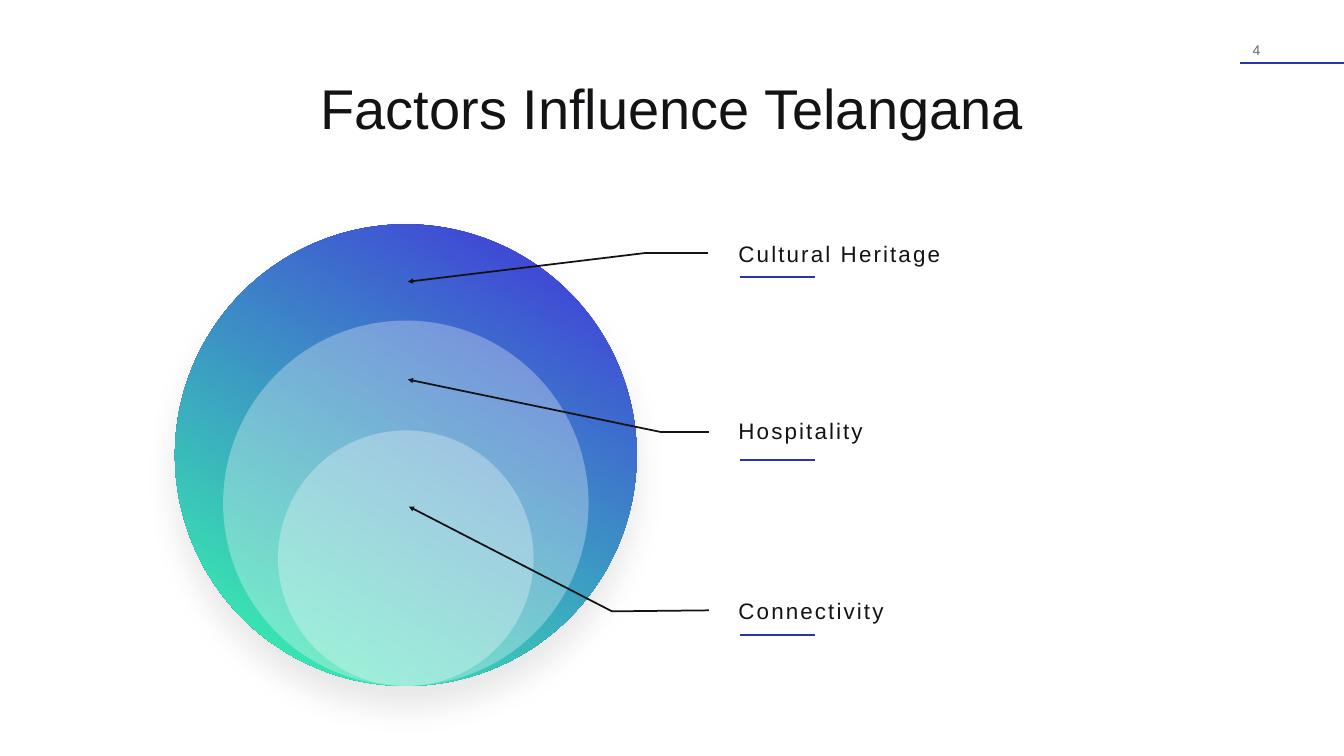
"""Build the slide of nested circles showing the factors that influence Telangana."""
from lxml import etree
from pptx import Presentation
from pptx.dml.color import RGBColor
from pptx.enum.shapes import MSO_CONNECTOR, MSO_SHAPE
from pptx.enum.text import MSO_ANCHOR, MSO_AUTO_SIZE, PP_ALIGN
from pptx.oxml.ns import qn
from pptx.util import Inches, Pt

STRAIGHT, OVAL = MSO_CONNECTOR.STRAIGHT, MSO_SHAPE.OVAL
TOP, MIDDLE, BOTTOM = MSO_ANCHOR.TOP, MSO_ANCHOR.MIDDLE, MSO_ANCHOR.BOTTOM
LEFT, CENTER, RIGHT = PP_ALIGN.LEFT, PP_ALIGN.CENTER, PP_ALIGN.RIGHT
FIXED = MSO_AUTO_SIZE.NONE

TITLE = "Factors Influence Telangana"
PAGE_NUMBER = "4"
FACTORS = [
    {"label": "Cultural Heritage", "diameter": 9.16, "label_top": 4.7, "rule_y": 5.5,
     "leader": [(14.04, 5.02), (12.8, 5.02), (8.09, 5.59)]},
    {"label": "Hospitality", "diameter": 7.25, "label_top": 8.21, "rule_y": 9.12,
     "leader": [(14.06, 8.57), (13.1, 8.57), (8.09, 7.53)]},
    {"label": "Connectivity", "diameter": 5.07, "label_top": 11.8, "rule_y": 12.6,
     "leader": [(14.06, 12.11), (12.14, 12.13), (8.11, 10.05)]},
]
COLORS = {"ink": "131316", "rule": "2C34AC", "page": "68686E", "veil": "FFFFFF",
          "indigo": "403BD9", "mint": "38F2AE"}
FONT = "Arial"
WIDTH, HEIGHT = 26.66, 15
CIRCLES_CENTER, CIRCLES_BOTTOM = 8.05, 13.61
LABEL_LEFT, LABEL_WIDTH, LABEL_HEIGHT = 14.55, 4.64, 0.64
RULE_LEFT, RULE_LENGTH = 14.67, 1.5
PAGE_RULE_LEFT, PAGE_RULE_Y = 24.6, 1.25
TITLE_WIDTH = 14.5
LINE_WIDTH = 2.5


def color(name):
    return RGBColor.from_string(COLORS[name])


def write(shape, text, size, ink, align, anchor, spacing=0):
    frame = shape.text_frame
    frame.text = text
    frame.auto_size = FIXED
    frame.word_wrap = False
    frame.vertical_anchor = anchor
    paragraph = frame.paragraphs[0]
    paragraph.alignment = align
    font = paragraph.font
    font.name, font.size, font.color.rgb = FONT, Pt(size), color(ink)
    if spacing:
        paragraph.runs[0]._r.get_or_add_rPr().set("spc", str(spacing * 100))
    return frame


def add_rule(slide, left, right, y):
    rule = slide.shapes.add_connector(
        STRAIGHT, Inches(left), Inches(y), Inches(right), Inches(y))
    rule.line.color.rgb = color("rule")
    rule.line.width = Pt(LINE_WIDTH)
    etree.SubElement(rule._element.spPr, qn("a:effectLst"))


def add_circle(slide, diameter):
    circle = slide.shapes.add_shape(
        OVAL, Inches(CIRCLES_CENTER - diameter / 2), Inches(CIRCLES_BOTTOM - diameter),
        Inches(diameter), Inches(diameter))
    circle.line.fill.background()
    circle.shadow.inherit = False
    return circle


def set_alpha(parent, percent):
    etree.SubElement(parent, qn("a:alpha"), val=str(percent * 1000))


def paint_gradient(circle):
    circle.fill.gradient()
    circle.fill.gradient_angle = 240
    stops = zip(circle.fill.gradient_stops, ((0.06, "indigo"), (0.94, "mint")))
    for stop, (position, name) in stops:
        stop.position = position
        stop.color.rgb = color(name)


def cast_shadow(circle):
    effects = circle._element.spPr.find(qn("a:effectLst"))
    shadow = etree.SubElement(
        effects, qn("a:outerShdw"), blurRad=str(Pt(45)), dist=str(Pt(30)),
        dir=str(90 * 60000), algn="t", rotWithShape="0")
    set_alpha(etree.SubElement(shadow, qn("a:srgbClr"), val=COLORS["ink"]), 10)


def paint_veil(circle):
    circle.fill.solid()
    circle.fill.fore_color.rgb = color("veil")
    set_alpha(circle._element.spPr.find(".//" + qn("a:srgbClr")), 30)


def add_leader(slide, points):
    start, *rest = [(Inches(x), Inches(y)) for x, y in points]
    builder = slide.shapes.build_freeform(*start)
    builder.add_line_segments(rest, close=False)
    leader = builder.convert_to_shape()
    leader.fill.background()
    leader.shadow.inherit = False
    leader.line.color.rgb = color("ink")
    leader.line.width = Pt(LINE_WIDTH)
    etree.SubElement(leader._element.spPr.find(qn("a:ln")), qn("a:tailEnd"), type="triangle")


def add_label(slide, factor):
    label = slide.shapes.add_textbox(
        Inches(LABEL_LEFT), Inches(factor["label_top"]),
        Inches(LABEL_WIDTH), Inches(LABEL_HEIGHT))
    frame = write(label, factor["label"], 32, "ink", LEFT, BOTTOM, spacing=3)
    frame.word_wrap = True
    add_rule(slide, RULE_LEFT, RULE_LEFT + RULE_LENGTH, factor["rule_y"])


def add_page_number(slide):
    number = slide.shapes.add_textbox(Inches(24.67), Inches(0.83), Inches(0.33), Inches(0.34))
    frame = write(number, PAGE_NUMBER, 20, "page", RIGHT, TOP)
    frame.margin_left = frame.margin_right = frame.margin_top = frame.margin_bottom = 0
    add_rule(slide, PAGE_RULE_LEFT, WIDTH, PAGE_RULE_Y)


def add_title(slide):
    title = slide.shapes.title
    title.left, title.top = Inches((WIDTH - TITLE_WIDTH) / 2), Inches(1.4)
    title.width, title.height = Inches(TITLE_WIDTH), Inches(1.45)
    write(title, TITLE, 80, "ink", CENTER, MIDDLE)


def main():
    deck = Presentation()
    deck.slide_width, deck.slide_height = Inches(WIDTH), Inches(HEIGHT)
    slide = deck.slides.add_slide(deck.slide_layouts[5])
    add_page_number(slide)
    outer, *inner = [add_circle(slide, factor["diameter"]) for factor in FACTORS]
    paint_gradient(outer)
    cast_shadow(outer)
    for circle in inner:
        paint_veil(circle)
    for factor in FACTORS:
        add_leader(slide, factor["leader"])
    add_title(slide)
    for factor in FACTORS:
        add_label(slide, factor)
    deck.save("out.pptx")


if __name__ == "__main__":
    main()
